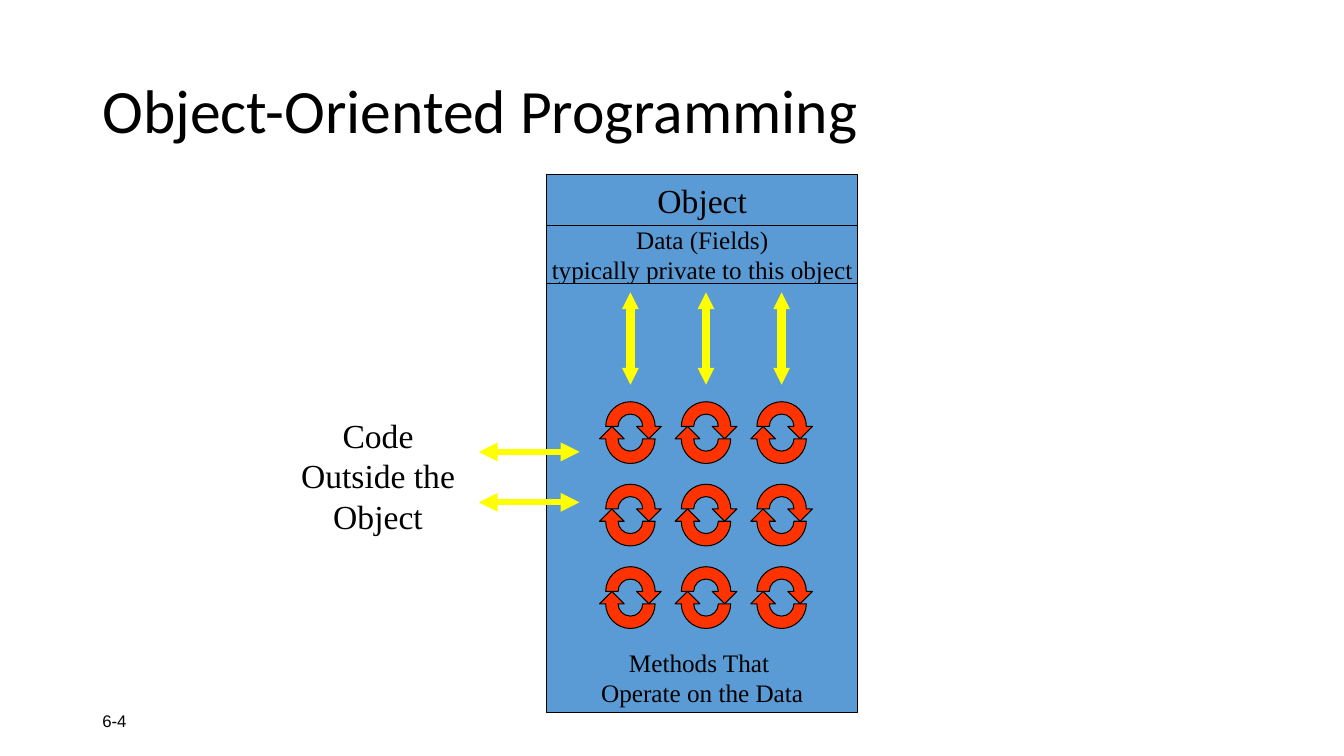
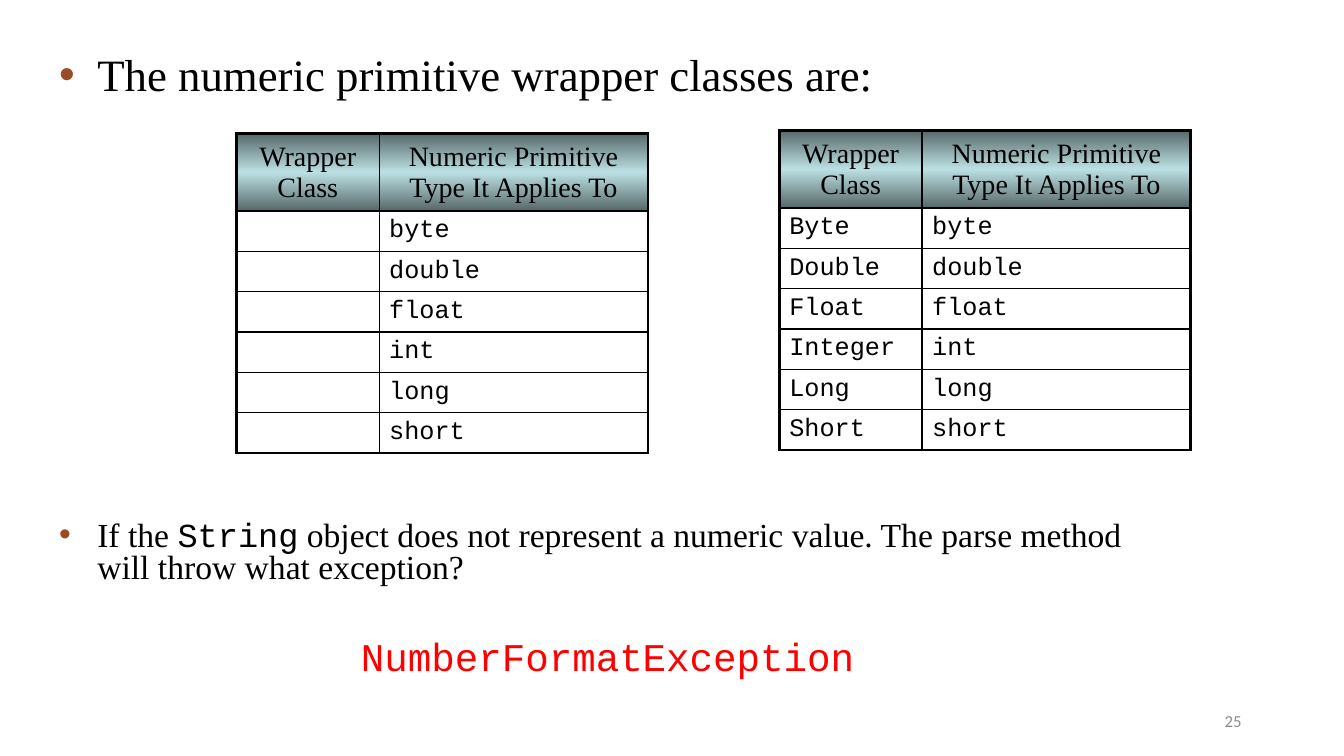
import dataclasses

import lxml.etree
import pptx
import pptx.dml.color
import pptx.enum.shapes
import pptx.enum.text
import pptx.oxml.ns
import pptx.util

COLS, ROWS = 160, 90
SLIDE_W, SLIDE_H = pptx.util.Inches(13.333), pptx.util.Inches(7.5)
ALIGN = pptx.enum.text.PP_ALIGN
ANCHOR = pptx.enum.text.MSO_ANCHOR
qn = pptx.oxml.ns.qn

# Half-ring arrow in ring widths, inside a square of 4 by 4; 0.9 and 0.45 are
# the distances from the square's edge to the control points of a quarter arc.
HALF_RING = (
    ("moveTo", (3, 2)),
    ("cubicBezTo", (3, 1.45), (2.55, 1), (2, 1)),
    ("cubicBezTo", (1.45, 1), (1, 1.45), (1, 2)),
    ("lnTo", (0, 2)),
    ("cubicBezTo", (0, 0.9), (0.9, 0), (2, 0)),
    ("cubicBezTo", (3.1, 0), (4, 0.9), (4, 2)),
    ("lnTo", (4.5, 2)),
    ("lnTo", (3.5, 3)),
    ("lnTo", (2.5, 2)),
    ("close",),
)


@dataclasses.dataclass(frozen=True)
class Style:
    font: str
    size: float
    color: str = "000000"


@dataclasses.dataclass(frozen=True)
class Theme:
    ink: str = "000000"
    box: str = "5B9BD5"
    cycle: str = "FF3300"
    arrow: str = "FFFF00"
    bullet: str = "9A4C25"
    header: tuple = ((0, "576869"), (50, "BBE0E3"), (100, "576869"))
    thin: float = 1
    thick: float = 2.25
    outline: float = 0.75
    title: Style = Style("Calibri", 44)
    footer_left: Style = Style("Arial", 12)
    footer_right: Style = Style("Calibri", 12, "8C8C8C")
    lead: Style = Style("Times New Roman", 32)
    body: Style = Style("Times New Roman", 24)
    body_code: Style = Style("Courier New", 24)
    label: Style = Style("Times New Roman", 18)
    table_head: Style = Style("Times New Roman", 20)
    table_code: Style = Style("Courier New", 18)
    answer: Style = Style("Courier New", 28, "FF0000")


T = Theme()


def gx(cols):
    return round(SLIDE_W * cols / COLS)


def gy(rows):
    return round(SLIDE_H * rows / ROWS)


def grid(x, y, w, h):
    return gx(x), gy(y), gx(w), gy(h)


def rgb(code):
    return pptx.dml.color.RGBColor.from_string(code)


def assign(obj, **values):
    for name, value in values.items():
        setattr(obj, name, value)


def write(tf, runs, frame=None, para=None):
    """Fill the first paragraph with (text, style) runs; a newline breaks the line."""
    assign(tf, **(frame or {}))
    p = tf.paragraphs[0]
    assign(p, **(para or {}))
    for text, style in runs:
        for i, line in enumerate(text.split("\n")):
            if i:
                p.add_line_break()
            r = p.add_run()
            r.text = line
            assign(r.font, name=style.font, size=pptx.util.Pt(style.size))
            r.font.color.rgb = rgb(style.color)
    return p


def add_text(slide, at, runs, wrap=True, anchor=ANCHOR.TOP, **para):
    sp = slide.shapes.add_textbox(*grid(*at))
    frame = {"word_wrap": wrap, "vertical_anchor": anchor}
    return write(sp.text_frame, runs, frame, para)


def add_bullet(slide, at, runs, spacing):
    p = add_text(slide, at, runs, line_spacing=spacing)
    pPr = p._p.get_or_add_pPr()
    indent = pptx.util.Inches(0.38)
    pPr.set("marL", str(indent))
    pPr.set("indent", str(-indent))
    color = lxml.etree.SubElement(pPr, qn("a:buClr"))
    lxml.etree.SubElement(color, qn("a:srgbClr"), val=T.bullet)
    lxml.etree.SubElement(pPr, qn("a:buFont"), typeface="Arial")
    lxml.etree.SubElement(pPr, qn("a:buChar"), char="•")


def add_footer(slide, text, x, style, align):
    add_text(slide, (x, 83.4, 36, 4.8), [(text, style)],
             anchor=ANCHOR.MIDDLE, alignment=align)


def paint(sp, fill):
    sp.shadow.inherit = False
    sp.fill.solid()
    sp.fill.fore_color.rgb = rgb(fill)
    sp.line.color.rgb = rgb(T.ink)
    sp.line.width = pptx.util.Pt(T.outline)


def add_box(slide, at, text, style, anchor=ANCHOR.MIDDLE):
    sp = slide.shapes.add_shape(
        pptx.enum.shapes.MSO_SHAPE.RECTANGLE, *grid(*at))
    paint(sp, T.box)
    write(sp.text_frame, [(text, style)],
          {"word_wrap": False, "vertical_anchor": anchor},
          {"alignment": ALIGN.CENTER})


def add_double_arrow(slide, start, end, width, head="med"):
    line = slide.shapes.add_connector(
        pptx.enum.shapes.MSO_CONNECTOR.STRAIGHT,
        gx(start[0]), gy(start[1]), gx(end[0]), gy(end[1]))
    line.line.color.rgb = rgb(T.arrow)
    line.line.width = pptx.util.Pt(width)
    ln = line.line._get_or_add_ln()
    for tag in ("a:headEnd", "a:tailEnd"):
        lxml.etree.SubElement(ln, qn(tag), type="triangle", w=head, len=head)
    lxml.etree.SubElement(line._element.spPr, qn("a:effectLst"))


def add_half_ring(slide, cx, cy, ring, rotation):
    """Freeform on a square frame, its outline replaced by true curves."""
    left, top, side = gx(cx - 2 * ring), gy(cy - 2 * ring), gx(4 * ring)
    builder = slide.shapes.build_freeform(left, top)
    builder.add_line_segments([(left + side, top), (left + side, top + side)])
    sp = builder.convert_to_shape()
    outline = next(sp._element.iter(qn("a:path")))
    for child in list(outline):
        outline.remove(child)
    for command, *points in HALF_RING:
        step = lxml.etree.SubElement(outline, qn(f"a:{command}"))
        for x, y in points:
            lxml.etree.SubElement(step, qn("a:pt"), x=str(gx(x * ring)),
                                  y=str(gy(y * ring)))
    sp.rotation = rotation
    paint(sp, T.cycle)


def add_cycle(slide, cx, cy, ring=1.47):
    for shift, rotation in ((-ring / 2, 0), (ring / 2, 180)):
        add_half_ring(slide, cx, cy + shift, ring, rotation)


def set_borders(cell, widths):
    tcPr = cell._tc.get_or_add_tcPr()
    for side, width in widths.items():
        ln = lxml.etree.SubElement(tcPr, qn(f"a:ln{side}"),
                                   w=str(pptx.util.Pt(width)))
        fill = lxml.etree.SubElement(ln, qn("a:solidFill"))
        lxml.etree.SubElement(fill, qn("a:srgbClr"), val=T.ink)


def set_header_fill(cell):
    tcPr = cell._tc.get_or_add_tcPr()
    grad = lxml.etree.SubElement(tcPr, qn("a:gradFill"), rotWithShape="1")
    stops = lxml.etree.SubElement(grad, qn("a:gsLst"))
    for percent, color in T.header:
        gs = lxml.etree.SubElement(stops, qn("a:gs"), pos=str(percent * 1000))
        lxml.etree.SubElement(gs, qn("a:srgbClr"), val=color)
    lxml.etree.SubElement(grad, qn("a:lin"), ang=str(90 * 60000), scaled="1")


def add_class_table(slide, x, y, rows):
    widths, head_h, row_h = (17, 32), 9.24, 4.8
    records = [("Wrapper Class", "Numeric Primitive\nType It Applies To"), *rows]
    last_row, last_col = len(records) - 1, len(widths) - 1
    at = grid(x, y, sum(widths), head_h + row_h * last_row)
    table = slide.shapes.add_table(len(records), len(widths), *at).table
    assign(table, first_row=False, horz_banding=False)
    for col, width in zip(table.columns, widths):
        col.width = gx(width)
    for i, record in enumerate(records):
        table.rows[i].height = gy(row_h if i else head_h)
        for j, text in enumerate(record):
            cell = table.cell(i, j)
            cell.vertical_anchor = ANCHOR.MIDDLE
            edges = {"L": j == 0, "R": j == last_col,
                     "T": i == 0, "B": i == last_row}
            set_borders(cell, {side: T.thick if outer else T.thin
                               for side, outer in edges.items()})
            if i:
                cell.fill.background()
            else:
                set_header_fill(cell)
            if text:
                write(cell.text_frame,
                      [(text, T.table_code if i else T.table_head)],
                      para={"alignment": ALIGN.LEFT if i else ALIGN.CENTER})


def build_object_slide(slide):
    add_footer(slide, "6-4", 11, T.footer_left, ALIGN.LEFT)
    add_text(slide, (11, 4.8, 138, 17.4),
             [("Object-Oriented Programming", T.title)],
             anchor=ANCHOR.MIDDLE, line_spacing=0.9)

    top = 20.8
    for height, text, style, anchor in (
        (6, "Object", T.body, ANCHOR.MIDDLE),
        (7, "Data (Fields)\ntypically private to this object", T.label,
         ANCHOR.MIDDLE),
        (51, "Methods That \nOperate on the Data", T.label, ANCHOR.BOTTOM),
    ):
        add_box(slide, (65.1, top, 37, height), text, style, anchor)
        top += height

    columns = [75.05 + 9 * i for i in range(3)]
    for x in columns:
        for row in range(3):
            add_cycle(slide, x, 51.5 + 9.82 * row)
    for x in columns:
        add_double_arrow(slide, (x, 45.8), (x, 34.8), 6, "sm")

    add_text(slide, (34, 48.8, 22, 15.7),
             [("Code Outside the Object", T.body)], alignment=ALIGN.CENTER)
    for y in (53.8, 59.8):
        add_double_arrow(slide, (57, y), (69, y), 4.5)


def build_wrapper_slide(slide):
    add_footer(slide, "25", 113, T.footer_right, ALIGN.RIGHT)
    add_bullet(slide, (5.85, 5.7, 117.8, 7.1),
               [("The numeric primitive wrapper classes are:", T.lead)], 0.9)

    wrappers = ("Byte", "Double", "Float", "Integer", "Long", "Short")
    primitives = ("byte", "double", "float", "int", "long", "short")
    add_class_table(slide, 28.14, 15.88, [("", name) for name in primitives])

    add_bullet(slide, (5.85, 61.5, 135.8, 9), [
        ("If the ", T.body),
        ("String", T.body_code),
        (" object does not represent a numeric value. The parse method "
         "will throw what exception?", T.body),
    ], 0.8)
    add_text(slide, (41.8, 74.7, 61.7, 6.8),
             [("NumberFormatException", T.answer)], wrap=False)
    add_class_table(slide, 92.77, 15.52, list(zip(wrappers, primitives)))


def main():
    prs = pptx.Presentation()
    assign(prs, slide_width=SLIDE_W, slide_height=SLIDE_H)
    blank = prs.slide_layouts[6]
    for build in (build_object_slide, build_wrapper_slide):
        build(prs.slides.add_slide(blank))
    prs.save("out.pptx")


if __name__ == "__main__":
    main()
